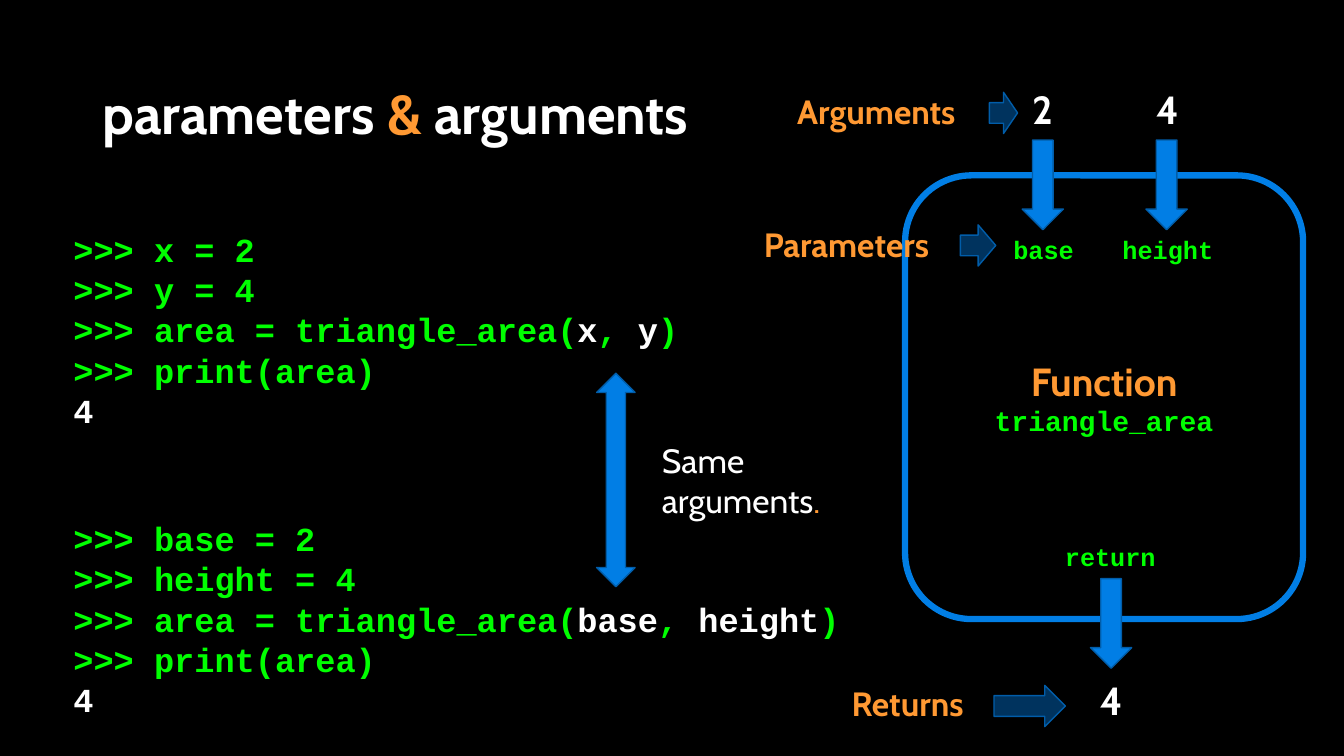
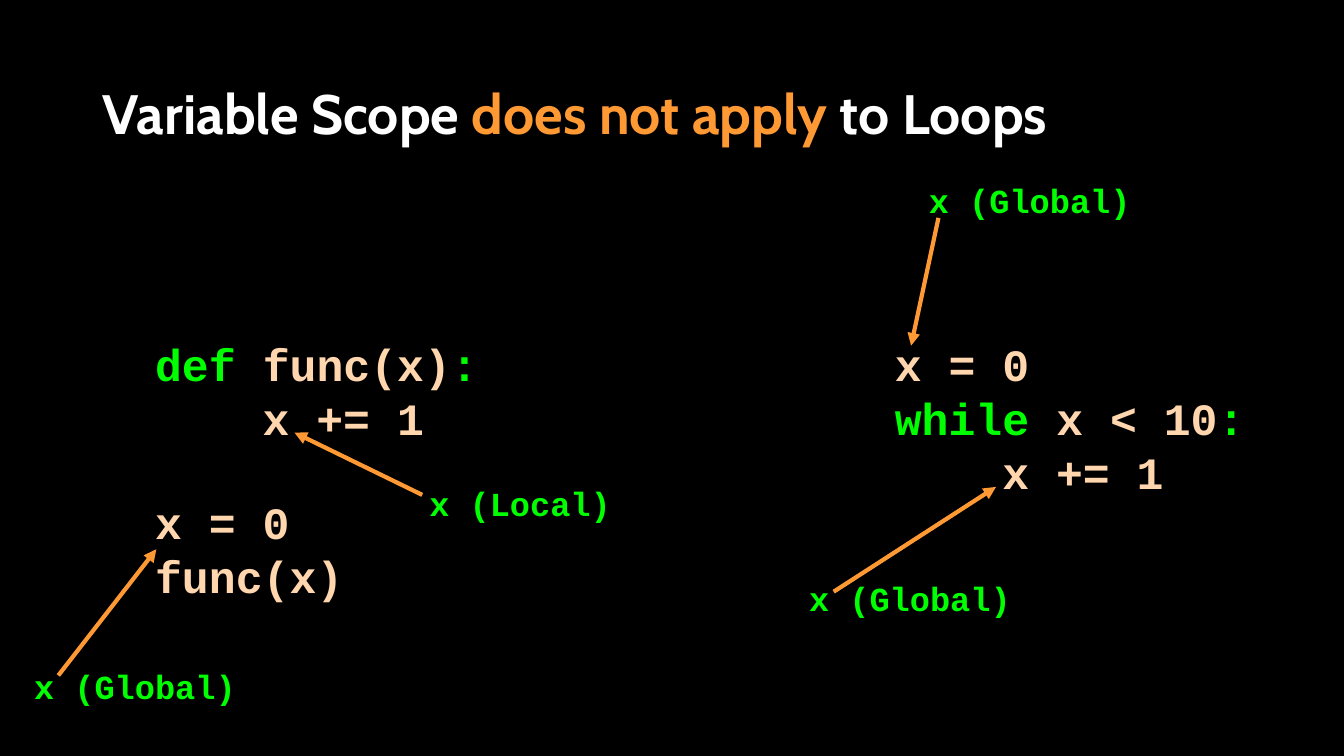
from lxml import etree
from pptx import Presentation
from pptx.dml.color import RGBColor
from pptx.enum.shapes import MSO_CONNECTOR, MSO_SHAPE
from pptx.enum.text import MSO_ANCHOR, MSO_AUTO_SIZE, PP_ALIGN
from pptx.oxml.ns import qn
from pptx.util import Cm, Pt

DOWN, DOUBLE, ROUNDED = MSO_SHAPE.DOWN_ARROW, MSO_SHAPE.LEFT_RIGHT_ARROW, MSO_SHAPE.ROUNDED_RECTANGLE
LEFT, CENTER = PP_ALIGN.LEFT, PP_ALIGN.CENTER
MIDDLE = MSO_ANCHOR.MIDDLE

COLORS = {"black": "000000", "white": "FFFFFF", "orange": "FF9933", "green": "00FF00",
          "peach": "FFD6AD", "blue": "017EE5", "navy": "015DA9"}
SANS, MONO = "Cabin", "Courier New"

# font, size, colour, bold
STYLES = {
    "title": (SANS, 39.6, "white", True),
    "title accent": (SANS, 39.6, "orange", True),
    "label": (SANS, 24, "orange", True),
    "value": (SANS, 28, "white", True),
    "function": (SANS, 28, "orange", True),
    "function name": (MONO, 20, "green", True),
    "parameter": (MONO, 18, "green", True),
    "note": (SANS, 24, "white", False),
    "note accent": (SANS, 24, "orange", False),
    "code": (MONO, 24, "green", True),
    "code value": (MONO, 24, "white", True),
    "big code": (MONO, 32, "peach", True),
    "keyword": (MONO, 32, "green", True),
}
CODE_INDENT = Pt(4 * 0.6 * 32)  # four characters of big code
CODE_GAP = Pt(36)               # one line of big code

TITLE_AT = (2.33, 2.03, 29.21, 1.83)

# Slide 1
PARAMETERS_TITLE = ["parameters", (" & ", "title accent"), "arguments"]
SESSIONS = [("x", "y", 5.64), ("base", "height", 12.93)]  # names, top
FUNCTION_AT = (22.81, 4.42, 10.03, 11.18)
FUNCTION_TEXT = [[("Function", "function")], [("triangle_area", "function name")]]
DIAGRAM_TEXTS = [  # text, style, alignment, place
    ("Arguments", "label", LEFT, (19.84, 2.16, 4.98, 1.27)),
    ("Parameters", "label", LEFT, (19, 5.51, 5.03, 1.27)),
    ("Returns", "label", LEFT, (21.21, 17.09, 3.58, 1.27)),
    ("2", "value", CENTER, (25.73, 2.03, 1.09, 1.45)),
    ("4", "value", CENTER, (28.88, 2.03, 1.09, 1.45)),
    ("4", "value", CENTER, (27.46, 16.92, 1.09, 1.45)),
    ("base", "parameter", CENTER, (25.27, 5.77, 2.06, 1.02)),
    ("height", "parameter", CENTER, (28.02, 5.77, 2.82, 1.02)),
    ("return", "parameter", CENTER, (26.57, 13.51, 2.82, 1.02)),
]
ARROW_WIDTH, FLOW_LENGTH = 1.04, 2.26
FLOW_ARROWS = [(25.76, 3.53), (28.88, 3.53), (27.48, 14.58)]  # left, top
POINTERS = [(24.77, 2.49, 0.71), (24.13, 5.74, 0.89), (25.43, 16.89, 1.8)]  # left, top, length
SAME_ARROW_AT = (12.83, 11.61, 5.38, 0.97)
SAME_NOTE = [["Same arguments", (".", "note accent")]]
SAME_NOTE_AT = (16.43, 10.95, 4.78, 2.31)

# Slide 2
SCOPE_TITLE = ["Variable Scope ", ("does not apply ", "title accent"), "to Loops"]
FUNCTION_CODE = [[("def ", "keyword"), "func(x)", (":", "keyword")],
                 ["x += 1"], ["x = 0"], ["func(x)"]]
LOOP_CODE = [["x = 0"], [("while ", "keyword"), "x < 10", (":", "keyword")], ["x += 1"]]
SCOPE_CODE = [  # lines, indented lines, lines after a gap, place
    (FUNCTION_CODE, {1}, {2}, (3.66, 8.36, 9.83, 8.46)),
    (LOOP_CODE, {2}, set(), (22.3, 8.36, 9.83, 4.37)),
]
SCOPE_LABELS = [  # text, left, top, width, arrow start, arrow end
    ("x (Local)", 10.57, 12.04, 5.13, (10.64, 12.47), (7.42, 10.9)),
    ("x (Global)", 0.61, 16.66, 5.64, (1.47, 17.02), (3.94, 13.84)),
    ("x (Global)", 23.16, 4.42, 5.64, (23.65, 5.49), (22.96, 8.71)),
    ("x (Global)", 20.14, 14.45, 5.64, (21.01, 14.91), (25.1, 12.27)),
]


def cm(lengths):
    return [Cm(length) for length in lengths]


def color(name):
    return RGBColor.from_string(COLORS[name])


def write(frame, lines, style, align=LEFT, spacing=None, indented=(), gapped=()):
    """Fill a frame; each line lists spans, plain or paired with their own style."""
    for number, spans in enumerate(lines):
        para = frame.paragraphs[0] if number == 0 else frame.add_paragraph()
        para.alignment = align
        if spacing:
            para.line_spacing = spacing
        if number in indented:
            para._p.get_or_add_pPr().set("marL", str(CODE_INDENT))
        if number in gapped:
            para.space_before = CODE_GAP
        for span in spans:
            text, name = (span, style) if isinstance(span, str) else span
            font_name, size, ink, bold = STYLES[name]
            run = para.add_run()
            run.text = text
            run.font.name, run.font.size, run.font.bold = font_name, Pt(size), bold
            run.font.color.rgb = color(ink)


def add_text(page, lines, at, style, wrap=True, **layout):
    frame = page.shapes.add_textbox(*cm(at)).text_frame
    frame.word_wrap = wrap
    frame.auto_size = MSO_AUTO_SIZE.SHAPE_TO_FIT_TEXT
    write(frame, lines, style, **layout)


def add_shape(page, kind, at, fill="blue", line="navy", weight=1, rotation=0, opacity=None):
    shape = page.shapes.add_shape(kind, *cm(at))
    shape.shadow.inherit = False
    shape.rotation = rotation
    shape.line.color.rgb = color(line)
    shape.line.width = Pt(weight)
    if fill is None:
        shape.fill.background()
        return shape
    shape.fill.solid()
    shape.fill.fore_color.rgb = color(fill)
    if opacity is not None:
        ink = shape._element.spPr.find(qn("a:solidFill"))[0]
        etree.SubElement(ink, qn("a:alpha")).set("val", str(opacity * 1000))
    return shape


def add_arrow(page, start, end):
    arrow = page.shapes.add_connector(MSO_CONNECTOR.STRAIGHT, *cm(start + end))
    arrow.line.color.rgb = color("orange")
    arrow.line.width = Pt(3)
    etree.SubElement(arrow.line._get_or_add_ln(), qn("a:tailEnd")).set("type", "triangle")
    etree.SubElement(arrow._element.spPr, qn("a:effectLst"))


def set_up_layout(deck):
    """Give the title layout the background and title place that all slides share."""
    layout = deck.slide_layouts.get_by_name("Title Only")
    layout.background.fill.solid()
    layout.background.fill.fore_color.rgb = color("black")
    title = layout.placeholders[0]
    title.left, title.top, title.width, title.height = cm(TITLE_AT)
    title.text_frame.vertical_anchor = MIDDLE
    title.text_frame.auto_size = MSO_AUTO_SIZE.NONE
    return layout


def add_page(deck, layout, title):
    page = deck.slides.add_slide(layout)
    write(page.shapes.title.text_frame, [title], "title", spacing=0.9)
    return page


def build_parameters(page):
    box = add_shape(page, ROUNDED, FUNCTION_AT, fill=None, line="blue", weight=4.5)
    box.text_frame.vertical_anchor = MIDDLE
    write(box.text_frame, FUNCTION_TEXT, "function", align=CENTER)
    for left, top in FLOW_ARROWS:
        add_shape(page, DOWN, (left, top, ARROW_WIDTH, FLOW_LENGTH))
    for left, top, length in POINTERS:
        add_shape(page, DOWN, (left, top, ARROW_WIDTH, length), rotation=270, opacity=41)
    for text, style, align, at in DIAGRAM_TEXTS:
        add_text(page, [[text]], at, style, wrap=False, align=align)
    for first, second, top in SESSIONS:
        call = [">>> area = triangle_area(", (first, "code value"), ", ",
                (second, "code value"), ")"]
        lines = [[f">>> {first} = 2"], [f">>> {second} = 4"], call,
                 [">>> print(area)"], [("4", "code value")]]
        add_text(page, lines, (1.6, top, 20.98, 5.38), "code")
    add_shape(page, DOUBLE, SAME_ARROW_AT, rotation=90)
    add_text(page, SAME_NOTE, SAME_NOTE_AT, "note")


def build_scope(page):
    for lines, indented, gapped, at in SCOPE_CODE:
        add_text(page, lines, at, "big code", indented=indented, gapped=gapped)
    for text, left, top, width, start, end in SCOPE_LABELS:
        add_text(page, [[text]], (left, top, width, 1.27), "code", wrap=False)
        add_arrow(page, start, end)


def main():
    deck = Presentation()
    deck.slide_width, deck.slide_height = Cm(33.87), Cm(19.05)
    layout = set_up_layout(deck)
    build_parameters(add_page(deck, layout, PARAMETERS_TITLE))
    build_scope(add_page(deck, layout, SCOPE_TITLE))
    deck.save("out.pptx")


if __name__ == "__main__":
    main()
